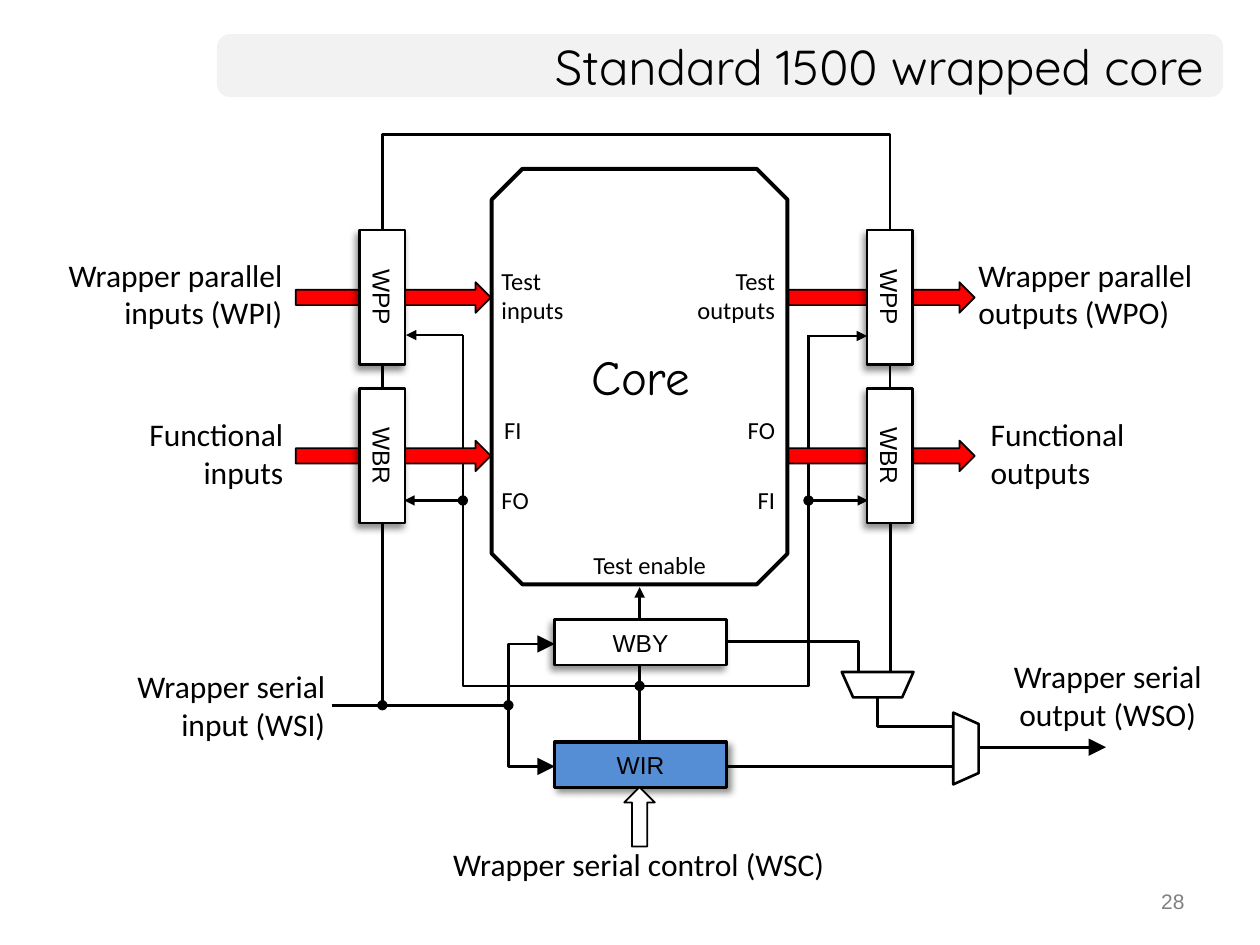
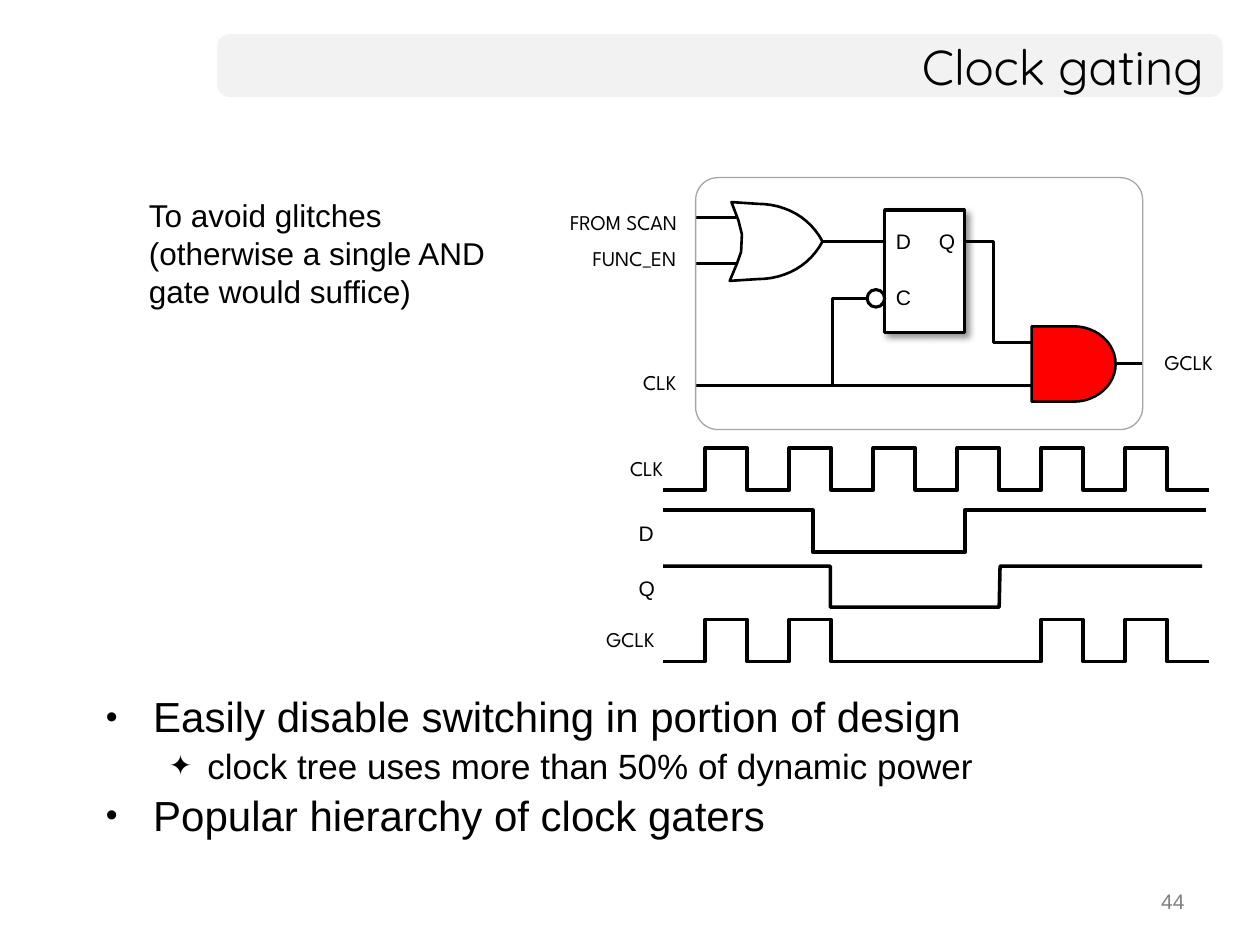
from copy import deepcopy

from lxml import etree
from pptx import Presentation
from pptx.dml.color import RGBColor
from pptx.enum.shapes import MSO_SHAPE as SHAPE
from pptx.enum.text import MSO_ANCHOR as ANCHOR, MSO_AUTO_SIZE as AUTO, PP_ALIGN as ALIGN
from pptx.oxml.ns import qn
from pptx.util import Pt


class Theme:
    black, white, red = "000000", "FFFFFF", "FF0000"
    blue, band, frame, grey = "558ED5", "F2F2F2", "A6A6A6", "808080"
    body_font, title_font, label_font = "Arial", "Quicksand", "Calibri"
    core_font, signal_font = "Comic Neue", "League Spartan"
    title, core, label, pin, signal = 28, 28, 18, 14, 12
    bullet, sub_bullet = 24, 20


T = Theme
LEFT, CENTER, RIGHT = ALIGN.LEFT, ALIGN.CENTER, ALIGN.RIGHT


def write(tf, text, size=T.label, font=T.body_font, color=T.black, align=LEFT,
          anchor=ANCHOR.TOP, inset=(7.2, 3.6), wrap=True, bullet=None,
          indent=(0, 0), level=0, before=0, spacing=None):
    """Add one formatted paragraph to a text frame."""
    tf.auto_size, tf.word_wrap, tf.vertical_anchor = AUTO.NONE, wrap, anchor
    tf.margin_left = tf.margin_right = Pt(inset[0])
    tf.margin_top = tf.margin_bottom = Pt(inset[1])
    p = tf.paragraphs[0]
    if p.runs:
        p = tf.add_paragraph()
    p.text = text
    if bullet:
        pPr = p._p.get_or_add_pPr()
        pPr.set("marL", str(Pt(indent[0])))
        pPr.set("indent", str(Pt(indent[1])))
        etree.SubElement(pPr, qn("a:buSzPct"), val="80000")
        etree.SubElement(pPr, qn("a:buFont"), typeface=font)
        etree.SubElement(pPr, qn("a:buChar"), char=bullet)
    p.alignment, p.level = align, level
    if before:
        p.space_before = Pt(before)
    if spacing:
        p.line_spacing = spacing
    for r in p.runs:
        r.font.size, r.font.name = Pt(size), font
        r.font.color.rgb = RGBColor.from_string(color)
    for br in p._p.findall(qn("a:br")):
        br.append(deepcopy(p.runs[0]._r.rPr))


def style(sp, fill=None, line=T.black, width=1.5, shadow=None,
          head=None, tail=None, end_size="med"):
    """Set fill, line, line ends and shadow (a direction in degrees)."""
    if hasattr(sp, "fill"):
        if fill:
            sp.fill.solid()
            sp.fill.fore_color.rgb = RGBColor.from_string(fill)
        else:
            sp.fill.background()
    if line:
        sp.line.color.rgb = RGBColor.from_string(line)
        sp.line.width = Pt(width)
    else:
        sp.line.fill.background()
    spPr = sp._element.spPr
    for tag, kind in (("a:headEnd", head), ("a:tailEnd", tail)):
        if kind:
            etree.SubElement(spPr.find(qn("a:ln")), qn(tag), type=kind, w=end_size, len=end_size)
    effects = etree.SubElement(spPr, qn("a:effectLst"))
    if shadow:
        outer = etree.SubElement(effects, qn("a:outerShdw"), blurRad=str(Pt(4)),
                                 dist=str(Pt(3)), dir=str(shadow * 60000), rotWithShape="0")
        color = etree.SubElement(outer, qn("a:srgbClr"), val=T.black)
        etree.SubElement(color, qn("a:alpha"), val="43000")


# Wrapped core: wires as (points, style)
arrow, dot = dict(tail="triangle"), dict(tail="oval")
big = dict(tail="triangle", end_size="lg")
branch = dict(head="oval", tail="triangle")
core_wires = [
    ([(365.5, 392), (365.5, 335.5)], arrow),
    ([(365.5, 435), (365.5, 392)], dot),
    ([(264.5, 191.5), (264.5, 392), (462, 392), (462, 191.5)], {}),
    ([(218.5, 273.5), (218.5, 403)], dot),
    ([(392, 438), (550, 438)], {}),
    ([(501.5, 391.5), (501.5, 415), (553, 415)], {}),
    ([(409.5, 366.5), (490.5, 366.5), (490.5, 391.5)], {}),
    ([(218.5, 242), (218.5, 77), (508.5, 77), (508.5, 242)], {}),
    ([(509, 269), (509, 384)], {}),
    ([(552, 427), (632, 427)], big),
    ([(317, 438), (290.5, 438), (290.5, 368), (317, 368)], dict(big, head="triangle")),
    ([(189.5, 403), (290.5, 403)], dot),
    ([(462, 286), (496, 286)], branch),
    ([(264.5, 286), (231, 286)], branch),
    ([(462, 192), (495.5, 192)], arrow),
    ([(264.5, 191.5), (232, 191.5)], arrow),
]

# Wrapped core: shapes as (kind, box, rotation, adjustment, text, style)
core_shapes = []
for arrow_x, cell_x in ((445.5, 470), (169, 180)):
    for name, y in (("WPP", 170), ("WBR", 260.5)):
        core_shapes += [
            (SHAPE.RIGHT_ARROW, (arrow_x, y - 8.75, 111.5, 17.5), 0, None, "",
             dict(fill=T.red, width=1)),
            (SHAPE.RECTANGLE, (cell_x, y - 13, 77, 26), 90, None, name,
             dict(fill=T.white, shadow=120)),
        ]
core_shapes += [
    (SHAPE.OCTAGON, (281, 96.5, 169, 237.5), 0, 0.104, "", dict(fill=T.white, width=2.25)),
    (SHAPE.RECTANGLE, (317, 354, 98, 26), 0, None, "WBY", dict(fill=T.white, shadow=120)),
    (SHAPE.RECTANGLE, (317, 424, 98, 26), 0, None, "WIR",
     dict(fill=T.blue, width=1.75, shadow=45)),
    (SHAPE.RIGHT_ARROW, (348.5, 458, 34, 17.5), 270, None, "", dict(fill=T.white, width=1)),
    (SHAPE.TRAPEZOID, (531.5, 420.5, 41, 14.5), 90, 0.446, "", dict(fill=T.white)),
    (SHAPE.TRAPEZOID, (481, 384, 41, 14.5), 180, 0.446, "", dict(fill=T.white)),
]

# Wrapped core: labels as (text, box, format)
outer = dict(size=T.label, font=T.label_font, wrap=False)
pin = dict(size=T.pin, font=T.label_font, wrap=False)
core_labels = [
    ("Core", (317, 193, 98, 44),
     dict(size=T.core, font=T.core_font, align=CENTER, inset=(10, 5), wrap=False)),
    ("Functional\ninputs", (77, 233.5, 92, 51), dict(outer, align=RIGHT)),
    ("Functional\noutputs", (559, 233.5, 92, 51), outer),
    ("Wrapper parallel\noutputs (WPO)", (552, 142.5, 139, 51), outer),
    ("Wrapper parallel\ninputs (WPI)", (29.5, 142.5, 139, 51), dict(outer, align=RIGHT)),
    ("Wrapper serial\ninput (WSI)", (69, 377.5, 124, 51), dict(outer, align=RIGHT)),
    ("Wrapper serial\noutput (WSO)", (571, 372, 124, 51), dict(outer, align=CENTER)),
    ("Wrapper serial control (WSC)", (250, 479.5, 230, 29), dict(outer, align=CENTER)),
    ("Test\ninputs", (279.5, 148.5, 50.5, 41), pin),
    ("Test\noutputs", (390, 148.5, 60, 41), dict(pin, align=RIGHT)),
    ("Test enable", (330.5, 311, 81.5, 24.5), dict(pin, align=CENTER)),
    ("FI", (281, 233.5, 24.5, 24.5), pin),
    ("FO", (279.5, 273.5, 30, 24.5), pin),
    ("FO", (420, 233.5, 30, 24.5), dict(pin, align=RIGHT)),
    ("FI", (425.5, 273.5, 24.5, 24.5), dict(pin, align=RIGHT)),
]

# Clock gating: OR gate outline, its lower curve mirroring the upper one
steps = [i / 12 for i in range(13)]
curve = [tuple((1 - t) ** 3 * a + 3 * (1 - t) ** 2 * t * b + 3 * (1 - t) * t ** 2 * c + t ** 3 * d
               for a, b, c, d in ((433, 449, 463, 470), (116.5, 116.5, 124.5, 138)))
         for t in steps]
mirrored = [(x, 276 - y) for x, y in reversed(curve)]
back = [(417, 160.5), (421, 151), (423.5, 144), (424, 134), (422, 126), (418, 115.5)]
or_gate = back[-1:] + curve + mirrored + back

# Clock gating: wires and waveforms
wire, trace = dict(width=1.75), dict(width=2)
gating_wires = [
    ([(397.5, 124.5), (424, 124.5)], wire),
    ([(398, 150.5), (421, 150.5)], wire),
    (or_gate, dict(fill=T.white)),
    ([(470, 138), (507, 138)], wire),
    ([(548.5, 138), (567.5, 138), (567.5, 196), (589.5, 196)], wire),
    ([(397.5, 220.5), (589, 220.5)], wire),
    ([(496, 170.5), (476, 170.5), (476, 220.5)], wire),
    ([(637.5, 207.5), (653, 207.5)], wire),
    ([(379, 291.5), (464.5, 291.5), (464.5, 315.5), (551.5, 315.5), (551.5, 291.5),
      (689, 291.5)], trace),
    ([(379, 323.5), (474.5, 323.5), (474.5, 347), (571, 347), (571.5, 323.5),
      (687, 323.5)], trace),
]
for low, levels in ((280, "0101010101010"), (378, "0101000001010")):
    wave = []
    for i, level in enumerate(levels):
        y = low - 24 * int(level)
        wave += [(379 + 24 * i, y), (403 + 24 * i, y)]
    gating_wires.append((wave, trace))

gating_shapes = [
    (SHAPE.ROUNDED_RECTANGLE, (397.5, 101.5, 255.5, 144), 0, 0.089, "",
     dict(line=T.frame, width=0.75)),
    (SHAPE.FLOWCHART_DELAY, (589.5, 186.5, 48, 43), 0, None, "", dict(fill=T.red)),
    (SHAPE.RECTANGLE, (505.5, 120, 45.5, 70), 0, None, "",
     dict(fill=T.white, width=1.75, shadow=45)),
    (SHAPE.FLOWCHART_CONNECTOR, (495.5, 165.5, 10, 10), 0, None, "",
     dict(fill=T.white, width=1.75)),
]

signal = dict(size=T.signal, font=T.signal_font, inset=(0, 0))
signal_right = dict(signal, align=RIGHT)
port = dict(signal, font=T.body_font)
gating_labels = [
    ("To avoid glitches (otherwise a single AND gate would suffice)",
     (78, 108.5, 234, 73), {}),
    ("GCLK", (665.5, 200, 37.5, 14.5), signal),
    ("CLK", (349, 211, 37.5, 14.5), signal_right),
    ("FROM SCAN", (311.5, 120, 75.5, 14.5), signal_right),
    ("FUNC_EN", (329, 140.5, 57.5, 14.5), signal_right),
    ("CLK", (341.5, 260.5, 37.5, 14.5), signal_right),
    ("GCLK", (346.5, 358, 37.5, 14.5), signal),
    ("D", (512, 130.5, 12, 14.5), port),
    ("C", (512, 162.5, 24, 14.5), port),
    ("Q", (536.5, 130.5, 12, 14.5), port),
    ("D", (365, 297.5, 12, 14.5), port),
    ("Q", (365, 329, 12, 14.5), port),
]

prs = Presentation()
prs.slide_width, prs.slide_height = Pt(720), Pt(540)

for title, number, wires, shapes, labels in (
    ("Standard 1500 wrapped core", "28", core_wires, core_shapes, core_labels),
    ("Clock gating", "44", gating_wires, gating_shapes, gating_labels),
):
    s = prs.slides.add_slide(prs.slide_layouts[5])

    # Title on its band
    band = s.shapes.add_shape(SHAPE.ROUNDED_RECTANGLE, Pt(124), Pt(19.5), Pt(575), Pt(36))
    band.adjustments[0] = 0.208
    style(band, fill=T.band, line=None)
    s.shapes._spTree.insert(2, band._element)
    sp = s.shapes.title
    sp.left, sp.top, sp.width, sp.height = Pt(124), Pt(19.5), Pt(571), Pt(36)
    write(sp.text_frame, title, size=T.title, font=T.title_font, align=RIGHT,
          anchor=ANCHOR.MIDDLE)

    # Wires
    for points, fmt in wires:
        points = [(Pt(x), Pt(y)) for x, y in points]
        if len(points) == 2:
            sp = s.shapes.add_connector(1, *points[0], *points[1])
        else:
            outline = s.shapes.build_freeform(*points[0])
            outline.add_line_segments(points[1:], close="fill" in fmt)
            sp = outline.convert_to_shape()
        style(sp, **fmt)

    # Blocks
    for kind, box, rotation, adjustment, text, fmt in shapes:
        sp = s.shapes.add_shape(kind, *map(Pt, box))
        sp.rotation = rotation
        if adjustment:
            sp.adjustments[0] = adjustment
        style(sp, **fmt)
        if text:
            write(sp.text_frame, text, size=T.pin, align=CENTER, anchor=ANCHOR.MIDDLE,
                  wrap=False)

    # Labels and page number
    page = (number, (516, 504, 168, 25), dict(size=T.signal, color=T.grey, align=RIGHT))
    for text, box, fmt in labels + [page]:
        write(s.shapes.add_textbox(*map(Pt, box)).text_frame, text, **fmt)

# Bullets under the clock gating waveforms
tf = s.shapes.add_textbox(Pt(53.5), Pt(394.5), Pt(631.5), Pt(98.5)).text_frame
top = dict(size=T.bullet, bullet="•", indent=(27, -27), spacing=0.9)
write(tf, "Easily disable switching in portion of design", **top)
write(tf, "clock tree uses more than 50% of dynamic power", size=T.sub_bullet, bullet="✦",
      indent=(58, -22), level=1, before=4, spacing=0.9)
write(tf, "Popular hierarchy of clock gaters", before=4.8, **top)

prs.save("out.pptx")
